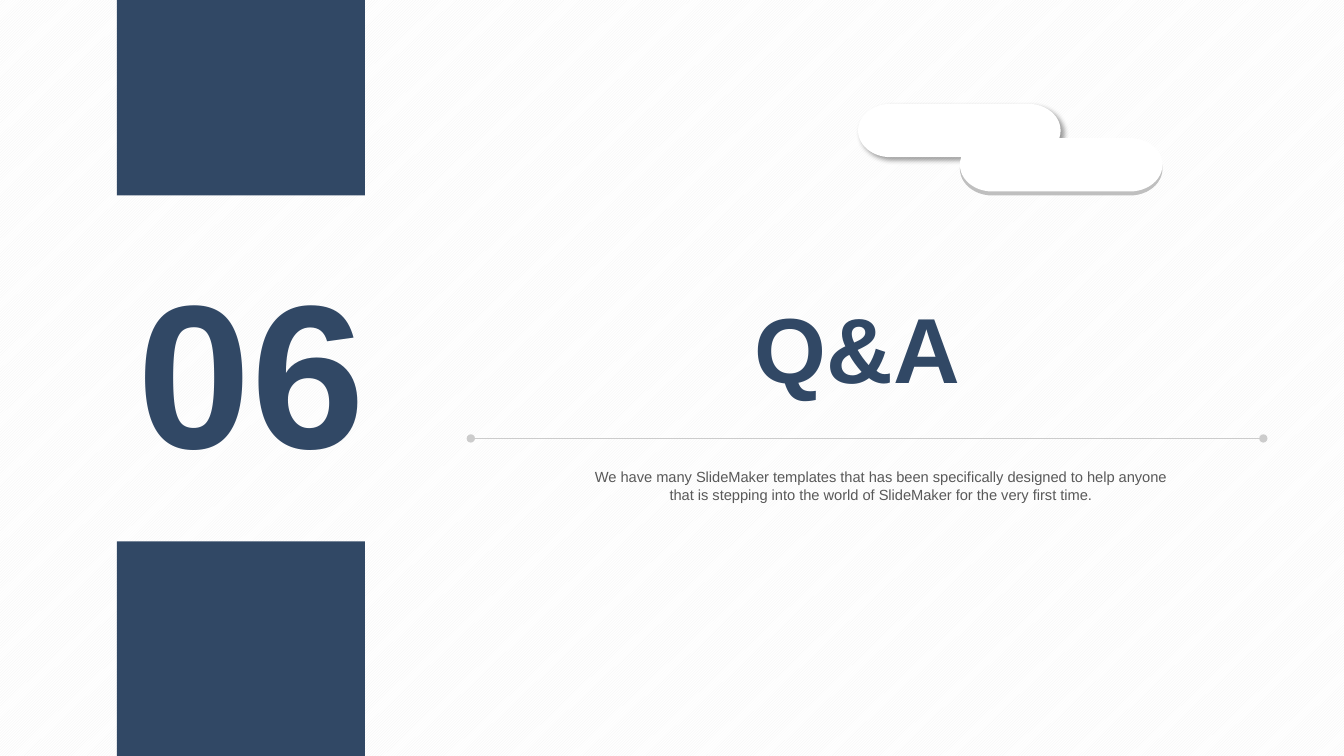
from dataclasses import dataclass

from lxml.etree import SubElement
from pptx import Presentation
from pptx.dml.color import RGBColor
from pptx.enum.dml import MSO_PATTERN
from pptx.enum.shapes import MSO_CONNECTOR, MSO_SHAPE
from pptx.enum.text import MSO_ANCHOR, PP_ALIGN
from pptx.oxml.ns import qn
from pptx.shapes.connector import Connector
from pptx.shapes.shapetree import GroupShapes, SlideShapes
from pptx.slide import Slide
from pptx.util import Inches, Pt

NAVY = RGBColor(0x31, 0x48, 0x65)
WHITE = RGBColor(0xFF, 0xFF, 0xFF)
PALE = RGBColor(0xF2, 0xF2, 0xF2)
SILVER = RGBColor(0xCC, 0xCC, 0xCC)
GREY = RGBColor(0xBF, 0xBF, 0xBF)
DARK = RGBColor(0x59, 0x59, 0x59)


@dataclass
class Block:
    left: float
    top: float
    width: float
    height: float
    fill: RGBColor
    shade: bool = False


@dataclass
class Label:
    left: float
    top: float
    width: float
    height: float
    text: str
    size: float
    color: RGBColor
    bold: bool = False
    align: PP_ALIGN = PP_ALIGN.CENTER
    anchor: MSO_ANCHOR = MSO_ANCHOR.BOTTOM


BARS = [
    Block(1.16, 0, 2.46, 1.94, NAVY),
    Block(1.16, 5.37, 2.46, 2.13, NAVY),
]
PILLS = [
    Block(9.52, 1.41, 2.01, 0.53, GREY),
    Block(8.51, 1.03, 2.01, 0.53, WHITE, shade=True),
    Block(9.52, 1.37, 2.01, 0.53, WHITE),
]
LABELS = [
    Label(1.16, 2.4, 2.46, 2.46, "06", 146, NAVY, True, PP_ALIGN.RIGHT),
    Label(5.28, 2.88, 6.45, 1.11, "Q&A", 66, NAVY, True),
    Label(5.78, 4.64, 5.92, 0.35,
          "We have many SlideMaker templates that has been specifically "
          "designed to help anyone that is stepping into the world of "
          "SlideMaker for the very first time.",
          10.5, DARK, anchor=MSO_ANCHOR.TOP),
]


def add_block(shapes: SlideShapes | GroupShapes, kind: MSO_SHAPE,
              block: Block) -> None:
    shape = shapes.add_shape(kind, Inches(block.left), Inches(block.top),
                             Inches(block.width), Inches(block.height))
    shape.shadow.inherit = False
    shape.fill.solid()
    shape.fill.fore_color.rgb = block.fill
    shape.line.fill.background()
    if block.shade:
        # Soft drop shadow: 40% black, down and to the right
        effects = shape._element.spPr.find(qn("a:effectLst"))
        outer = SubElement(effects, qn("a:outerShdw"), blurRad=str(Pt(4)),
                           dist=str(Pt(3)), dir=str(45 * 60000),
                           algn="tl", rotWithShape="0")
        color = SubElement(outer, qn("a:srgbClr"), val="000000")
        SubElement(color, qn("a:alpha"), val="40000")


def add_label(slide: Slide, label: Label) -> None:
    box = slide.shapes.add_textbox(Inches(label.left), Inches(label.top),
                                   Inches(label.width), Inches(label.height))
    frame = box.text_frame
    frame.word_wrap = True
    frame.vertical_anchor = label.anchor
    frame.margin_left = frame.margin_right = 0
    frame.margin_top = frame.margin_bottom = 0
    para = frame.paragraphs[0]
    para.text = label.text
    para.alignment = label.align
    para.font.name = "Arial"
    para.font.size = Pt(label.size)
    para.font.bold = label.bold
    para.font.color.rgb = label.color


def add_rule(slide: Slide, left: float, right: float, top: float) -> Connector:
    rule = slide.shapes.add_connector(
        MSO_CONNECTOR.STRAIGHT, Inches(left), Inches(top),
        Inches(right), Inches(top))
    rule.line.color.rgb = SILVER
    rule.line.width = Pt(1)
    for end in ("a:headEnd", "a:tailEnd"):
        SubElement(rule.line._get_or_add_ln(), qn(end), type="oval")
    SubElement(rule._element.spPr, qn("a:effectLst"))
    return rule


def main() -> None:
    deck = Presentation()
    deck.slide_width = Inches(13.33)
    deck.slide_height = Inches(7.5)
    slide = deck.slides.add_slide(deck.slide_layouts[6])

    # Striped background
    fill = slide.background.fill
    fill.patterned()
    fill.pattern = MSO_PATTERN.DARK_UPWARD_DIAGONAL
    fill.fore_color.rgb = PALE
    fill.back_color.rgb = WHITE

    # Divider under the title
    add_rule(slide, 4.67, 12.53, 4.35)

    # Overlapping pills
    group = slide.shapes.add_group_shape()
    for pill in PILLS:
        add_block(group.shapes, MSO_SHAPE.FLOWCHART_TERMINATOR, pill)

    # Bars above and below the number
    for bar in BARS:
        add_block(slide.shapes, MSO_SHAPE.RECTANGLE, bar)

    # Number, title and caption
    for label in LABELS:
        add_label(slide, label)

    deck.save("out.pptx")


if __name__ == "__main__":
    main()
